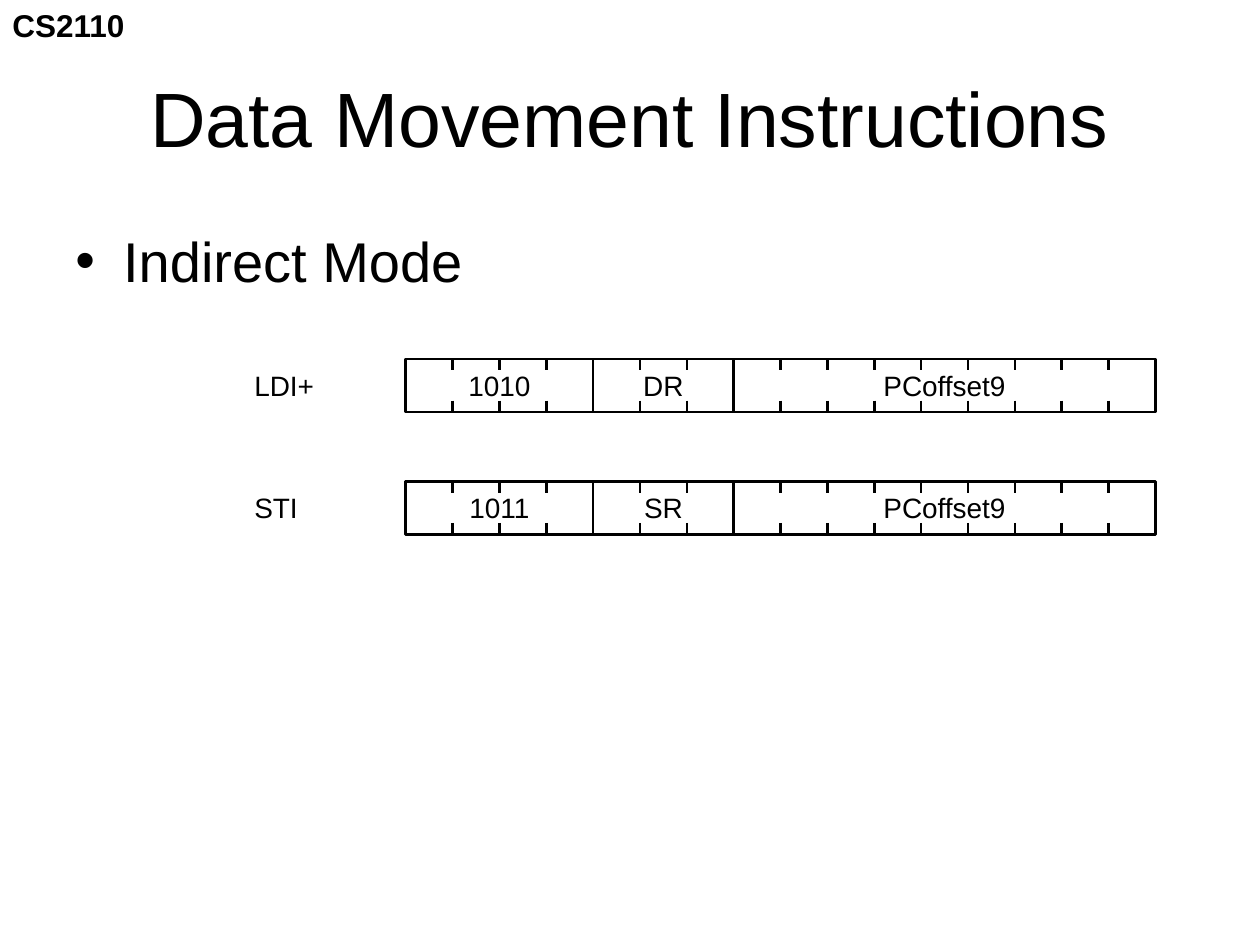
from lxml import etree
from pptx import Presentation, util as u
from pptx.dml.color import RGBColor
from pptx.enum import shapes, text
from pptx.oxml.ns import qn

COLS, ROWS = 1000, 750
LEFT, BITS = 322, 16
BIT = (917 - LEFT) / BITS
HIGH, TICK = 42, 9


def tint(code):
    """Turn a hex string into a colour."""
    return RGBColor.from_string(code)


def write(frame, words, size=16, bold=False, align="LEFT", before=0,
          anchor="TOP", wrap=False, font="Arial", ink="000000"):
    """Put formatted words in a frame and return the paragraph."""
    frame.auto_size = text.MSO_AUTO_SIZE.NONE
    frame.word_wrap = wrap
    frame.vertical_anchor = text.MSO_ANCHOR[anchor]
    para = frame.paragraphs[0]
    para.alignment = text.PP_ALIGN[align]
    para.space_before = u.Pt(before)
    run = para.add_run()
    run.text = words
    run.font.name, run.font.size, run.font.bold = font, u.Pt(size), bold
    run.font.color.rgb = tint(ink)
    return para


class Deck:
    """Holds the style, the grid and the current slide."""

    def __init__(self, ink="000000", line=1.5):
        """Open a slide with the title-only layout."""
        self.show = Presentation()
        self.show.slide_width, self.show.slide_height = u.Inches(10), u.Inches(7.5)
        self.col = self.show.slide_width / COLS
        self.row = self.show.slide_height / ROWS
        self.ink, self.line = ink, line
        self.slide = self.show.slides.add_slide(self.show.slide_layouts[5])

    def place(self, x, y, w, h):
        """Turn grid columns and rows into lengths."""
        return [round(n * s) for n, s in zip((x, y, w, h), (self.col, self.row) * 2)]

    def title(self, words, *area):
        """Move and fill the title placeholder."""
        head = self.slide.shapes.title
        head.left, head.top, head.width, head.height = self.place(*area)
        write(head.text_frame, words, size=44, align="CENTER", anchor="MIDDLE", wrap=True)

    def label(self, words, *area, **look):
        """Add a text box and return its paragraph."""
        box = self.slide.shapes.add_textbox(*self.place(*area))
        return write(box.text_frame, words, **look)

    def bullet(self, words, *area):
        """Add a text box with a hanging bullet."""
        props = self.label(words, *area, size=32, before=8, wrap=True)._p.get_or_add_pPr()
        props.set("marL", str(u.Inches(0.38)))
        props.set("indent", str(-u.Inches(0.38)))
        etree.SubElement(props, qn("a:buFont"), typeface="Arial")
        etree.SubElement(props, qn("a:buChar"), char="•")

    def rect(self, *area):
        """Add an outlined, unfilled rectangle."""
        box = self.slide.shapes.add_shape(shapes.MSO_SHAPE.RECTANGLE, *self.place(*area))
        box.shadow.inherit = False
        box.fill.background()
        box.line.color.rgb = tint(self.ink)
        box.line.width = u.Pt(self.line)

    def tick(self, x, y):
        """Add a short upright line."""
        ends = self.place(x, y, x, y + TICK)
        mark = self.slide.shapes.add_connector(shapes.MSO_CONNECTOR.STRAIGHT, *ends)
        mark.line.color.rgb = tint(self.ink)
        mark.line.width = u.Pt(self.line)
        etree.SubElement(mark._element.spPr, qn("a:effectLst"))

    def field(self, words, start, count, top, wide):
        """Add a field of bits with ticks between them."""
        x, w = LEFT + start * BIT, count * BIT
        self.rect(x, top, w, HIGH)
        for bit in range(1, count):
            for y in (top, top + HIGH - TICK):
                self.tick(x + bit * BIT, y)
        self.label(words, x + (w - wide) / 2, top + 2.5, wide, 37,
                   align="CENTER", before=10)

    def code(self, name, wide, top, fields):
        """Add a named instruction with its fields side by side."""
        self.label(name, 192, top + 2.5, wide, 37)
        start = 0
        for words, count, room in fields:
            self.field(words, start, count, top, room)
            start += count


def main():
    """Build the slide and save it."""
    deck = Deck()
    deck.label("CS2110", 0, 0, 110, 40, size=18, bold=True)
    deck.title("Data Movement Instructions", 50, 30, 900, 125)
    deck.bullet("Indirect Mode", 50, 175, 900, 558)
    offset = ("PCoffset9", 9, 117)
    deck.code("LDI+", 67, 285, [("1010", 4, 69), ("DR", 3, 52), offset])
    deck.code("STI", 54, 382, [("1011", 4, 69), ("SR", 3, 52), offset])
    deck.show.save("out.pptx")


if __name__ == "__main__":
    main()
